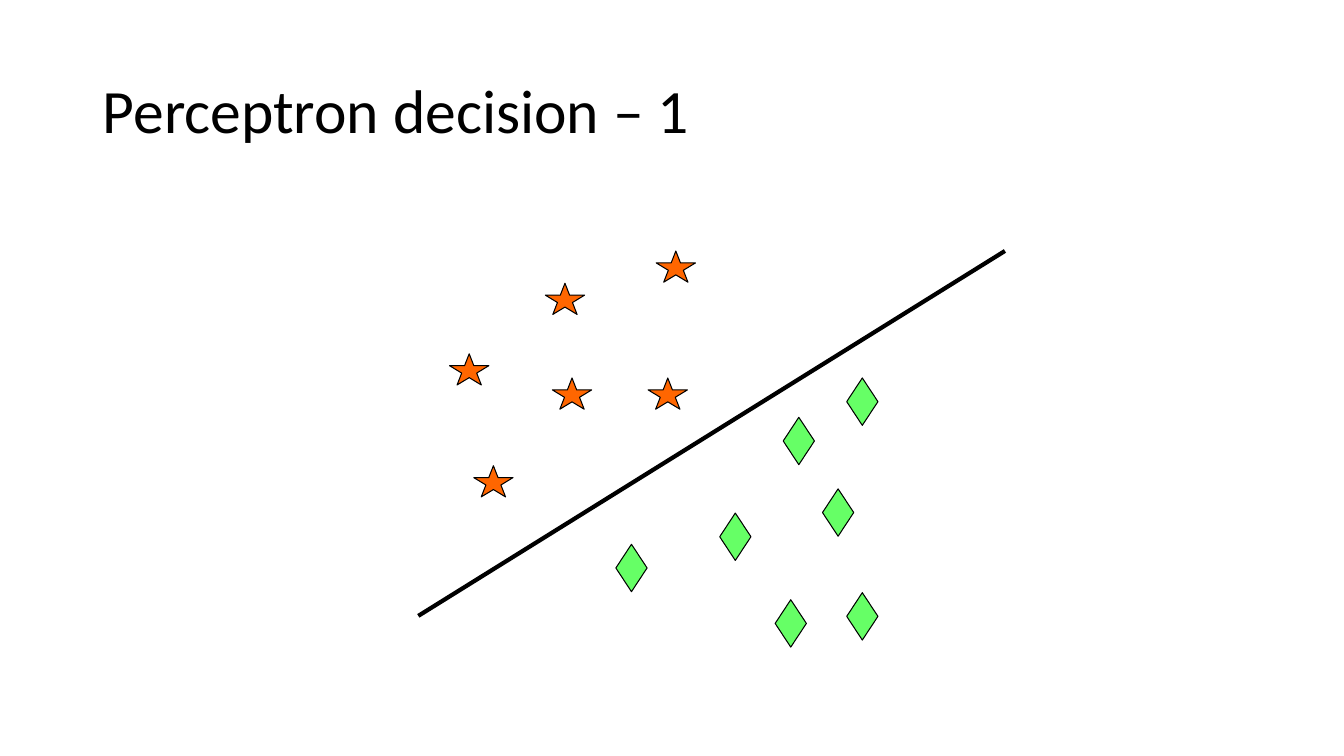
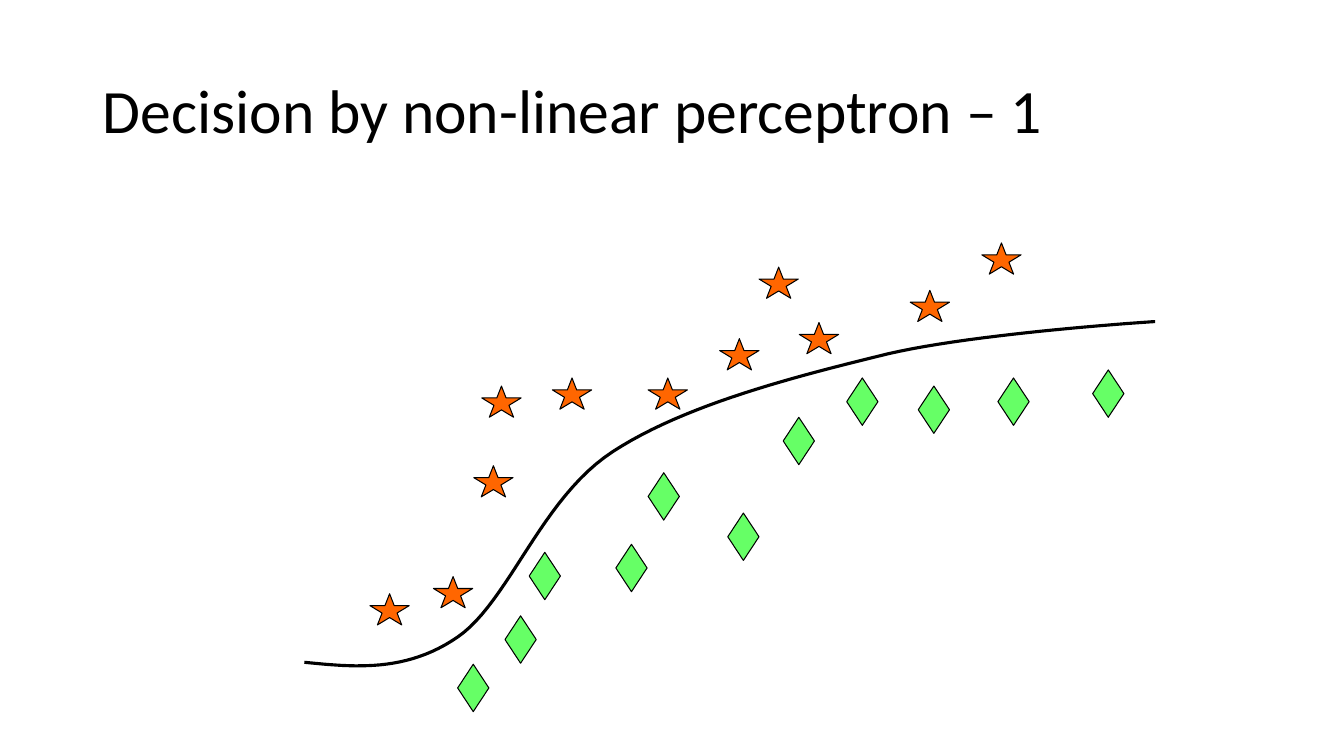
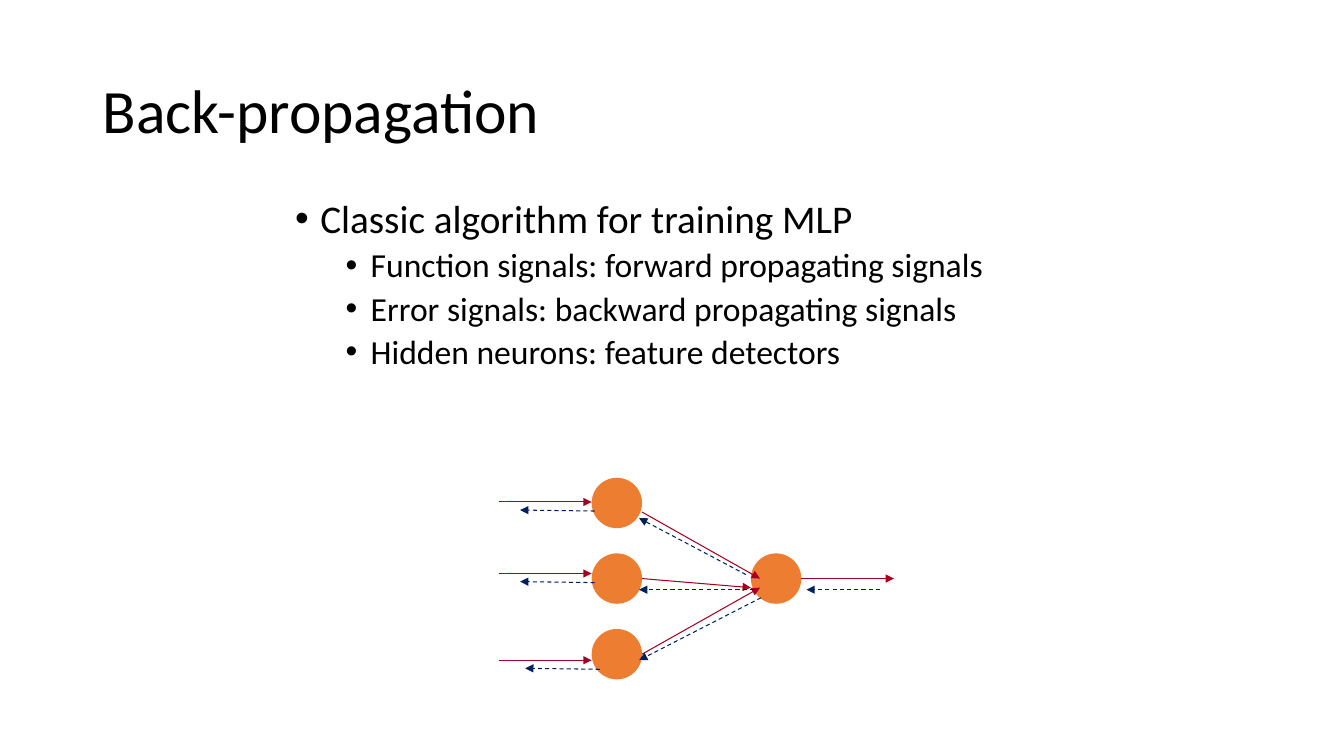
from typing import NamedTuple

from pptx import Presentation, util as u
from pptx.dml.color import RGBColor
from pptx.enum import dml, shapes, text
from pptx.oxml.ns import qn
from lxml import etree

# Shared look
FONT = "Calibri"
BLACK = RGBColor(0x00, 0x00, 0x00)
STAR_ORANGE = RGBColor(0xFF, 0x66, 0x00)
DIAMOND_GREEN = RGBColor(0x66, 0xFF, 0x66)
NEURON_ORANGE = RGBColor(0xED, 0x7D, 0x31)
FORWARD_RED = RGBColor(0xA5, 0x00, 0x21)
BACKWARD_NAVY = RGBColor(0x00, 0x20, 0x60)
EMU_PER_PX = 9144  # 100 px to the inch
THIN = 0.75

Point = tuple[int, int]


class Marker(NamedTuple):
    preset: shapes.MSO_SHAPE
    width: int
    height: int
    fill: RGBColor
    outline: RGBColor | None = None


class Bullet(NamedTuple):
    words: str
    level: int = 0


class Signal(NamedTuple):
    start: Point
    end: Point


STAR = Marker(shapes.MSO_SHAPE.STAR_5_POINT, 39, 31, STAR_ORANGE, BLACK)
DIAMOND = Marker(shapes.MSO_SHAPE.DIAMOND, 31, 47, DIAMOND_GREEN, BLACK)
NEURON = Marker(shapes.MSO_SHAPE.OVAL, 50, 50, NEURON_ORANGE)

# Left and top of each sample
LINEAR_STARS = [(446, 351), (541, 281), (470, 462), (548, 375), (643, 375), (651, 249)]
LINEAR_DIAMONDS = [(816, 485), (840, 375), (714, 509), (777, 414), (840, 588),
                   (769, 595), (611, 540)]
CURVED_STARS = [(974, 241), (903, 288), (470, 462), (548, 375), (643, 375), (714, 336),
                (793, 320), (753, 265), (430, 572), (478, 383), (367, 589)]
CURVED_DIAMONDS = [(1084, 367), (840, 375), (643, 469), (777, 414), (990, 375), (722, 509),
                   (611, 540), (525, 548), (501, 611), (911, 383), (454, 659)]

# Decision curve: a start, then two controls and an end for each segment
CURVE_START = (302, 657)
CURVE_SEGMENTS = [
    ((352, 662), (403, 667), (454, 632)),
    ((505, 597), (537, 494), (608, 448)),
    ((680, 401), (791, 373), (881, 351)),
    ((971, 330), (1146, 319), (1146, 319)),
]
CURVE_STEPS = 24

BULLETS = [
    Bullet("Classic algorithm for training MLP"),
    Bullet("Function signals: forward propagating signals", 1),
    Bullet("Error signals: backward propagating signals", 1),
    Bullet("Hidden neurons: feature detectors", 1),
]
BULLET_SIZES = (28, 24)
BULLET_GAPS = (10, 5)

# Network: hidden column, output neuron, then the signals between them
HIDDEN_LEFT, HIDDEN_TOP, HIDDEN_STEP = 587, 474, 75
OUTPUT_NEURON = (745, 549)
INPUT_ROWS = [(498, 0), (569, 0), (655, 5)]  # height, shift of the error signal
FORWARD = [Signal((495, y), (587, y)) for y, _ in INPUT_ROWS] + [
    Signal((637, 508), (754, 574)),
    Signal((637, 574), (745, 583)),
    Signal((637, 649), (754, 583)),
    Signal((795, 574), (887, 574)),
]
BACKWARD = [Signal((590 + dx, y + 9), (516 + dx, y + 8)) for y, dx in INPUT_ROWS] + [
    Signal((740, 570), (634, 514)),
    Signal((748, 585), (634, 585)),
    Signal((755, 593), (634, 655)),
    Signal((873, 585), (800, 585)),
]


def px(length: float) -> u.Emu:
    return u.Emu(round(length * EMU_PER_PX))


def add_page(deck, title: str):
    """Add a slide with its title in the shared style."""
    page = deck.slides.add_slide(deck.slide_layouts[5])
    box = page.shapes.title
    box.left, box.top, box.width, box.height = px(92), px(40), px(1150), px(145)
    frame = box.text_frame
    frame.text = title
    frame.word_wrap = True
    frame.auto_size = text.MSO_AUTO_SIZE.NONE
    frame.vertical_anchor = text.MSO_ANCHOR.MIDDLE
    para = frame.paragraphs[0]
    para.alignment = text.PP_ALIGN.LEFT
    para.line_spacing = 0.9
    style_font(para, 44)
    return page


def style_font(para, size: int) -> None:
    para.font.name = FONT
    para.font.size = u.Pt(size)
    para.font.color.rgb = BLACK


def add_markers(page, marker: Marker, corners: list[Point]) -> None:
    for left, top in corners:
        shape = page.shapes.add_shape(
            marker.preset, px(left), px(top), px(marker.width), px(marker.height))
        shape.shadow.inherit = False
        shape.fill.solid()
        shape.fill.fore_color.rgb = marker.fill
        if marker.outline is None:
            shape.line.fill.background()
        else:
            shape.line.color.rgb = marker.outline
            shape.line.width = u.Pt(THIN)


def add_line(page, start: Point, end: Point, color: RGBColor, width: float = THIN,
             dashed: bool = False, arrow: bool = False) -> None:
    line = page.shapes.add_connector(
        shapes.MSO_CONNECTOR.STRAIGHT, *(px(value) for value in start + end))
    line.line.color.rgb = color
    line.line.width = u.Pt(width)
    if dashed:
        line.line.dash_style = dml.MSO_LINE.DASH
    properties = line._element.spPr
    if arrow:
        etree.SubElement(properties.find(qn("a:ln")), qn("a:tailEnd"), type="triangle")
    etree.SubElement(properties, qn("a:effectLst"))


def add_curve(page) -> None:
    """Draw the decision curve through points on its cubic segments."""
    points = []
    start = CURVE_START
    for first, second, end in CURVE_SEGMENTS:
        for step in range(1, CURVE_STEPS + 1):
            t = step / CURVE_STEPS
            weights = ((1 - t) ** 3, 3 * t * (1 - t) ** 2, 3 * t ** 2 * (1 - t), t ** 3)
            points.append(tuple(
                px(sum(w * value for w, value in zip(weights, axis)))
                for axis in zip(start, first, second, end)))
        start = end
    builder = page.shapes.build_freeform(px(CURVE_START[0]), px(CURVE_START[1]))
    builder.add_line_segments(points, close=False)
    curve = builder.convert_to_shape()
    curve.shadow.inherit = False
    curve.fill.background()
    curve.line.color.rgb = BLACK
    curve.line.width = u.Pt(2.25)


def add_bullets(page, bullets: list[Bullet]) -> None:
    frame = page.shapes.add_textbox(px(283), px(193), px(850), px(213)).text_frame
    frame.word_wrap = True
    for index, bullet in enumerate(bullets):
        para = frame.add_paragraph() if index else frame.paragraphs[0]
        para.text = bullet.words
        para.level = bullet.level
        para.line_spacing = 0.9
        para.space_before = u.Pt(BULLET_GAPS[bullet.level])
        properties = para._p.get_or_add_pPr()
        properties.set("marL", str(px(25 + 50 * bullet.level)))
        properties.set("indent", str(px(-25)))
        etree.SubElement(properties, qn("a:buFont"), typeface="Arial")
        etree.SubElement(properties, qn("a:buChar"), char="•")
        style_font(para, BULLET_SIZES[bullet.level])


def main() -> None:
    deck = Presentation()
    deck.slide_width, deck.slide_height = u.Emu(12192000), px(750)

    # Linear decision
    page = add_page(deck, "Perceptron decision – 1")
    add_markers(page, STAR, LINEAR_STARS)
    add_markers(page, DIAMOND, LINEAR_DIAMONDS)
    add_line(page, (415, 611), (997, 249), BLACK, 3)

    # Curved decision
    page = add_page(deck, "Decision by non-linear perceptron – 1")
    add_markers(page, STAR, CURVED_STARS)
    add_markers(page, DIAMOND, CURVED_DIAMONDS)
    add_curve(page)

    # Network with signals both ways
    page = add_page(deck, "Back-propagation")
    add_bullets(page, BULLETS)
    hidden = [(HIDDEN_LEFT, HIDDEN_TOP + row * HIDDEN_STEP) for row in range(3)]
    add_markers(page, NEURON, hidden + [OUTPUT_NEURON])
    for signal in FORWARD:
        add_line(page, signal.start, signal.end, FORWARD_RED, arrow=True)
    for signal in BACKWARD:
        add_line(page, signal.start, signal.end, BACKWARD_NAVY, dashed=True, arrow=True)

    deck.save("out.pptx")


if __name__ == "__main__":
    main()
